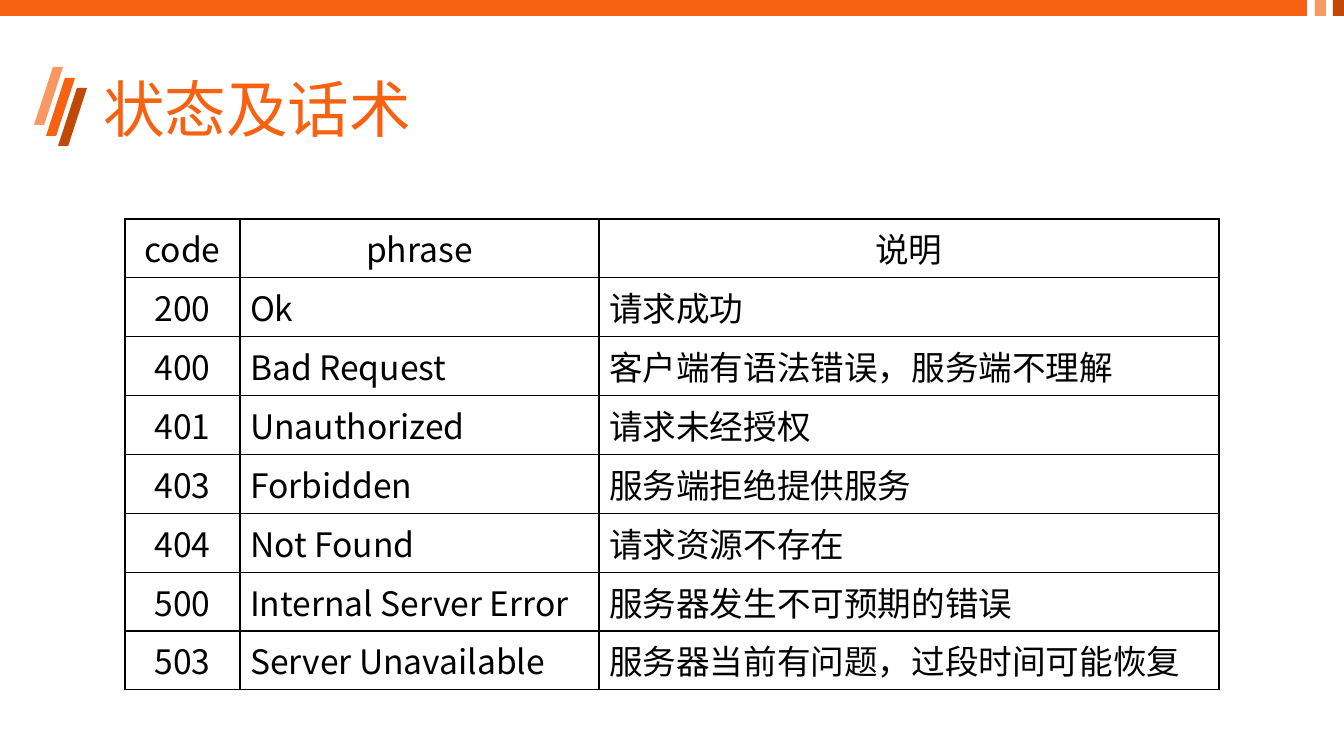
from lxml import etree
from pptx import Presentation
from pptx.dml.color import RGBColor
from pptx.enum.shapes import MSO_SHAPE as Shape
from pptx.enum.text import MSO_ANCHOR as Anchor, MSO_AUTO_SIZE as Fit, PP_ALIGN as Align
from pptx.oxml import parse_xml
from pptx.oxml.ns import nsdecls, qn
from pptx.util import Pt

PX = 914400 / 100.8
FONT = "Noto Sans CJK SC"
ORANGE = RGBColor(0xF7, 0x62, 0x12)
PEACH = RGBColor(0xFA, 0x98, 0x62)
RUST = RGBColor(0xC1, 0x49, 0x07)
BLACK = RGBColor(0, 0, 0)

COLS = (115, 359, 620)
ROW = 48
ROWS = (
    ("code", "phrase", "说明"),
    ("200", "Ok", "请求成功"),
    ("400", "Bad Request", "客户端有语法错误，服务端不理解"),
    ("401", "Unauthorized", "请求未经授权"),
    ("403", "Forbidden", "服务端拒绝提供服务"),
    ("404", "Not Found", "请求资源不存在"),
    ("500", "Internal Server Error", "服务器发生不可预期的错误"),
    ("503", "Server Unavailable", "服务器当前有问题，过段时间可能恢复"),
)


def emu(*sizes):
    """Turn px lengths into EMU."""
    return [round(size * PX) for size in sizes]


def style(para, size, color, align):
    """Format a paragraph and its runs."""
    para.alignment = align
    for run in para.runs:
        font = run.font
        font.size = Pt(size)
        font.name = FONT
        font.color.rgb = color
        east = etree.SubElement(font._element, qn("a:ea"))
        east.set("typeface", FONT)


def add_block(slide, kind, box, color):
    """Draw a plain filled shape."""
    block = slide.shapes.add_shape(kind, *emu(*box))
    block.shadow.inherit = False
    block.fill.solid()
    block.fill.fore_color.rgb = color
    block.line.fill.background()
    return block


def add_title(slide, text):
    """Fill and place the title."""
    title = slide.shapes.title
    title.left, title.top, title.width, title.height = emu(93, 40, 1159, 146)
    frame = title.text_frame
    frame.text = text
    frame.auto_size = Fit.NONE
    frame.vertical_anchor = Anchor.MIDDLE
    para = frame.paragraphs[0]
    para.line_spacing = 0.9
    style(para, 44, ORANGE, Align.LEFT)


def add_edges(cell):
    """Give a cell thin black borders."""
    props = cell._tc.get_or_add_tcPr()
    for spot, side in enumerate("LRTB"):
        line = parse_xml(
            f'<a:ln{side} {nsdecls("a")} w="{Pt(1)}"><a:solidFill>'
            f'<a:srgbClr val="{BLACK}"/></a:solidFill></a:ln{side}>'
        )
        props.insert(spot, line)


def add_grid(slide, left, top):
    """Add the table of status codes."""
    box = emu(left, top, sum(COLS), ROW * len(ROWS))
    table = slide.shapes.add_table(len(ROWS), len(COLS), *box).table
    table.first_row = table.horz_banding = False
    for col, width in zip(table.columns, emu(*COLS)):
        col.width = width
    for r, texts in enumerate(ROWS):
        table.rows[r].height = emu(ROW)[0]
        for c, text in enumerate(texts):
            cell = table.cell(r, c)
            cell.text = text
            cell.fill.background()
            add_edges(cell)
            align = Align.CENTER if r == 0 or c == 0 else Align.LEFT
            style(cell.text_frame.paragraphs[0], 24, BLACK, align)


def main():
    """Build and save the slide."""
    deck = Presentation()
    deck.slide_width, deck.slide_height = emu(1344, 756)
    slide = deck.slides.add_slide(deck.slide_layouts[5])
    for left, top, color in ((46, 78, ORANGE), (34, 67, PEACH), (58, 88, RUST)):
        slash = add_block(slide, Shape.PARALLELOGRAM, (left, top, 29, 58), color)
        slash.adjustments[0] = 0.65
    for left, width, color in ((0, 1307, ORANGE), (1315, 11, PEACH), (1333, 11, RUST)):
        add_block(slide, Shape.RECTANGLE, (left, 0, width, 16), color)
    add_title(slide, "状态及话术")
    add_grid(slide, 125, 219)
    deck.save("out.pptx")


if __name__ == "__main__":
    main()
